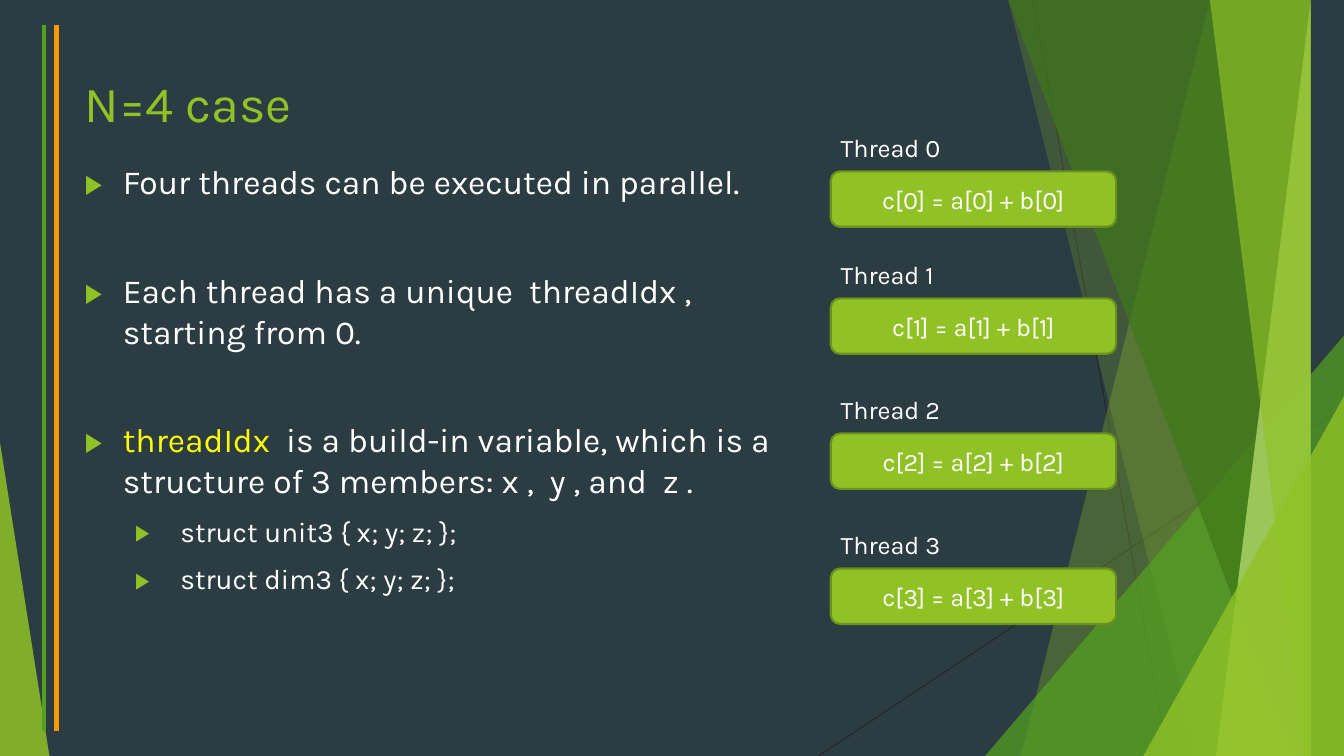
from dataclasses import dataclass
from typing import Any, Optional, Union

import pptx
import pptx.dml.color
import pptx.enum.shapes
import pptx.enum.text
import pptx.oxml.ns
import pptx.util
from lxml import etree

Inches, Pt = pptx.util.Inches, pptx.util.Pt
SHAPE = pptx.enum.shapes.MSO_SHAPE
ANCHOR, ALIGN = pptx.enum.text.MSO_ANCHOR, pptx.enum.text.PP_ALIGN
AUTO_SIZE = pptx.enum.text.MSO_AUTO_SIZE
WIDTH, HEIGHT = 13.33, 7.5
LIME, GREEN, WHITE, YELLOW = "90C226", "54A021", "FFFFFF", "FFFF00"


@dataclass
class Stroke:
    start: tuple[float, float]
    end: tuple[float, float]
    color: str
    weight: float


@dataclass
class Facet:
    """Band from a slanted left edge to the right side of the slide."""
    top_x: float
    bottom_x: float
    color: str
    opacity: int


@dataclass
class Wedge:
    """Triangle standing on the bottom of the slide."""
    left: float
    top: float
    width: float
    apex: float
    color: str
    opacity: int


@dataclass
class Bullet:
    phrases: list[tuple[str, str]]
    size: int = 24
    level: int = 0
    margin: float = 0.38
    hanging: float = 0.38
    before: int = 10


DECORATION: list[Union[Stroke, Facet, Wedge]] = [
    Stroke((10.25, 0), (11.58, HEIGHT), "262626", 0.75),
    Stroke((WIDTH, 4.03), (8.12, HEIGHT), "262626", 0.75),
    Facet(12.28, 10.04, LIME, 30),
    Facet(10.5, 11.83, LIME, 20),
    Wedge(9.77, 3.33, 3.56, 1, GREEN, 72),
    Facet(10.21, 12.91, "3F7819", 70),
    Facet(13.03, 11.92, "C0E474", 70),
    Facet(11.96, 13.18, LIME, 65),
    Wedge(11.34, 3.93, 1.99, 1, LIME, 80),
    Wedge(0, 4.39, 0.49, 0, LIME, 85),
    Stroke((0.44, 0.25), (0.44, 7.25), GREEN, 3),
    Stroke((0.56, 0.25), (0.56, 7.25), "FF9900", 3),
]

SUB_ITEM: dict[str, Any] = {"size": 20, "level": 1, "margin": 0.95, "hanging": 0.45}
BULLETS = [
    Bullet([("Four threads can be executed in parallel.", WHITE)], before=0),
    Bullet([("Each thread has a unique  threadIdx , starting from 0.", WHITE)], before=49),
    Bullet([("threadIdx", YELLOW),
            ("  is a build-in variable, which is a structure of 3 members: x ,  y , and  z .",
             WHITE)], before=49),
    Bullet([("struct unit3 { x; y; z; };", WHITE)], **SUB_ITEM),
    Bullet([("struct dim3 { x; y; z; };", WHITE)], **SUB_ITEM),
]
THREAD_TOPS = [1.7, 2.96, 4.3, 5.64]


def rgb(color: str) -> pptx.dml.color.RGBColor:
    return pptx.dml.color.RGBColor.from_string(color)


def apply(target: Any, values: dict[str, Any]) -> None:
    for name, value in values.items():
        setattr(target, name, value)


def add_element(parent: Any, tag: str, **attributes: str) -> Any:
    return etree.SubElement(parent, pptx.oxml.ns.qn(tag), attributes)


def add_run(paragraph: Any, text: str, size: int, color: str) -> None:
    run = paragraph.add_run()
    run.text = text
    apply(run.font, {"name": "Karla", "size": Pt(size)})
    run.font.color.rgb = rgb(color)


def paint(shape: Any, color: str, opacity: Optional[int] = None) -> None:
    shape.shadow.inherit = False
    shape.fill.solid()
    shape.fill.fore_color.rgb = rgb(color)
    if opacity is not None:
        shape.line.fill.background()
        fill_color = shape._element.spPr.find(".//" + pptx.oxml.ns.qn("a:srgbClr"))
        add_element(fill_color, "a:alpha", val=str(opacity * 1000))


def draw_stroke(slide: Any, stroke: Stroke) -> None:
    ends = [Inches(v) for v in (*stroke.start, *stroke.end)]
    line = slide.shapes.add_connector(pptx.enum.shapes.MSO_CONNECTOR.STRAIGHT, *ends)
    line.line.width = Pt(stroke.weight)
    line.line.color.rgb = rgb(stroke.color)
    add_element(line._element.spPr, "a:effectLst")


def draw_facet(slide: Any, facet: Facet) -> None:
    outline = slide.shapes.build_freeform(facet.top_x, -0.01, scale=Inches(1))
    outline.add_line_segments(
        [(WIDTH, -0.01), (WIDTH, HEIGHT), (facet.bottom_x, HEIGHT)], close=True)
    paint(outline.convert_to_shape(), facet.color, facet.opacity)


def draw_wedge(slide: Any, wedge: Wedge) -> None:
    triangle = slide.shapes.add_shape(
        SHAPE.ISOSCELES_TRIANGLE, Inches(wedge.left), Inches(wedge.top),
        Inches(wedge.width), Inches(HEIGHT - wedge.top))
    triangle.adjustments[0] = wedge.apex
    paint(triangle, wedge.color, wedge.opacity)


def write_bullet(paragraph: Any, bullet: Bullet) -> None:
    properties = paragraph._p.get_or_add_pPr()
    properties.set("marL", str(Inches(bullet.margin)))
    properties.set("indent", str(-Inches(bullet.hanging)))
    add_element(add_element(properties, "a:buClr"), "a:srgbClr", val=LIME)
    add_element(properties, "a:buSzPct", val="80000")
    add_element(properties, "a:buFont", typeface="Noto Sans Symbols")
    add_element(properties, "a:buChar", char="▶")
    apply(paragraph, {"level": bullet.level, "space_before": Pt(bullet.before)})
    for text, color in bullet.phrases:
        add_run(paragraph, text, bullet.size, color)


def draw_thread(slide: Any, index: int, top: float) -> None:
    statement = slide.shapes.add_shape(
        SHAPE.ROUNDED_RECTANGLE, Inches(8.24), Inches(top), Inches(2.83), Inches(0.55))
    paint(statement, LIME)
    statement.line.color.rgb = rgb("6B901C")
    statement.line.width = Pt(1.5)
    statement.text_frame.vertical_anchor = ANCHOR.MIDDLE
    paragraph = statement.text_frame.paragraphs[0]
    paragraph.alignment = ALIGN.CENTER
    add_run(paragraph, f"c[{index}] = a[{index}] + b[{index}]", 18, WHITE)

    label = slide.shapes.add_textbox(
        Inches(8.24), Inches(top - 0.44), Inches(1.28), Inches(0.4)).text_frame
    apply(label, {"word_wrap": False, "auto_size": AUTO_SIZE.SHAPE_TO_FIT_TEXT})
    add_run(label.paragraphs[0], f"Thread {index}", 18, WHITE)


def main() -> None:
    deck = pptx.Presentation()
    apply(deck, {"slide_width": Inches(WIDTH), "slide_height": Inches(HEIGHT)})
    slide = deck.slides.add_slide(deck.slide_layouts[5])
    slide.background.fill.solid()
    slide.background.fill.fore_color.rgb = rgb("2C3C43")

    # Decorative facets and side rules
    draw = {Stroke: draw_stroke, Facet: draw_facet, Wedge: draw_wedge}
    for ornament in DECORATION:
        draw[type(ornament)](slide, ornament)

    # Title
    title = slide.shapes.title
    apply(title, {"left": Inches(0.74), "top": Inches(0.67),
                  "width": Inches(9.4), "height": Inches(1.44)})
    apply(title.text_frame, {"vertical_anchor": ANCHOR.TOP, "auto_size": AUTO_SIZE.NONE})
    heading = title.text_frame.paragraphs[0]
    heading.alignment = ALIGN.LEFT
    add_run(heading, "N=4 case", 36, LIME)

    # Explanation
    explanation = slide.shapes.add_textbox(
        Inches(0.74), Inches(1.55), Inches(7.19), Inches(5.06)).text_frame
    explanation.word_wrap = True
    for number, bullet in enumerate(BULLETS):
        paragraph = explanation.add_paragraph() if number else explanation.paragraphs[0]
        write_bullet(paragraph, bullet)

    # Work of each thread
    for index, top in enumerate(THREAD_TOPS):
        draw_thread(slide, index, top)

    deck.save("out.pptx")


if __name__ == "__main__":
    main()
